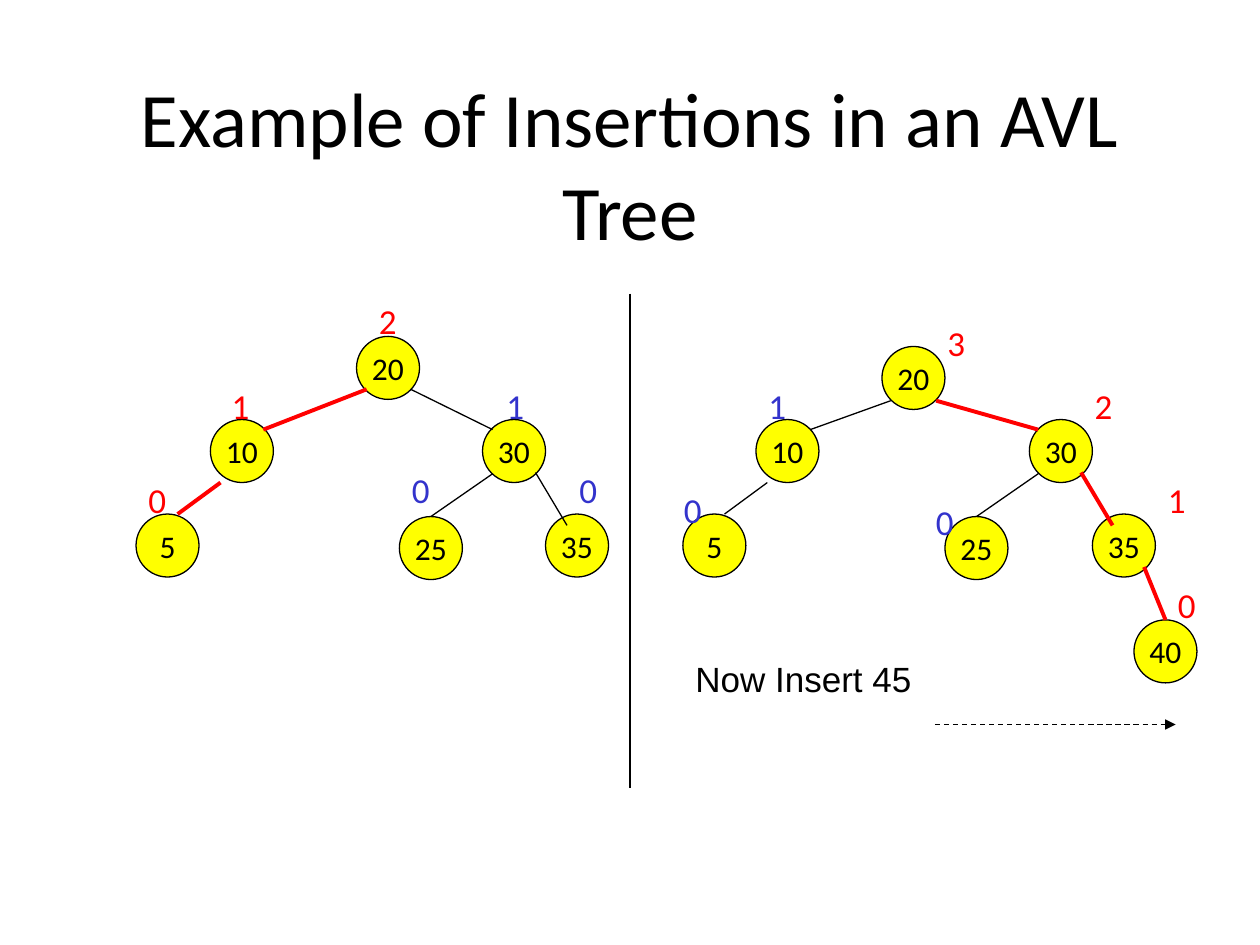
from dataclasses import dataclass
from typing import NamedTuple

from lxml import etree
from pptx import Presentation
from pptx.dml.color import RGBColor
from pptx.enum.dml import MSO_LINE
from pptx.enum.shapes import MSO_CONNECTOR, MSO_SHAPE
from pptx.enum.text import MSO_ANCHOR, PP_ALIGN
from pptx.oxml.ns import qn
from pptx.util import Inches, Pt

STRAIGHT = MSO_CONNECTOR.STRAIGHT
OVAL = MSO_SHAPE.OVAL
DASH = MSO_LINE.DASH
MIDDLE, TOP = MSO_ANCHOR.MIDDLE, MSO_ANCHOR.TOP
CENTER, LEFT = PP_ALIGN.CENTER, PP_ALIGN.LEFT


@dataclass(frozen=True)
class Theme:
    ink: RGBColor = RGBColor(0x00, 0x00, 0x00)
    node: RGBColor = RGBColor(0xFF, 0xFF, 0x00)
    height: RGBColor = RGBColor(0x33, 0x33, 0xCC)
    insertion: RGBColor = RGBColor(0xFF, 0x00, 0x00)
    font: str = "Calibri"
    note_font: str = "Arial"
    title_size: float = 44
    label_size: float = 20
    node_size: float = 18
    thin: float = 0.75
    thick: float = 2.25


THEME = Theme()
NODE_DIAMETER = 0.5
LABEL_WIDTH, LABEL_HEIGHT = 0.34, 0.44


class Node(NamedTuple):
    key: str
    left: float
    top: float


class Edge(NamedTuple):
    x1: float
    y1: float
    x2: float
    y2: float
    on_path: bool = False


class HeightLabel(NamedTuple):
    value: str
    left: float
    top: float
    on_path: bool = False


class Tree(NamedTuple):
    labels_behind: list[HeightLabel]
    nodes: list[Node]
    edges: list[Edge]
    labels_in_front: list[HeightLabel]


BEFORE_INSERTION = Tree(
    labels_behind=[
        HeightLabel("1", 3.92, 3),
        HeightLabel("0", 3.17, 3.67),
        HeightLabel("2", 2.91, 2.33, True),
    ],
    nodes=[
        Node("20", 2.83, 2.67), Node("10", 1.67, 3.33), Node("30", 3.83, 3.33),
        Node("25", 3.17, 4.1), Node("35", 4.33, 4.08), Node("5", 1.08, 4.08),
    ],
    edges=[
        Edge(2.91, 3.09, 2.09, 3.41, True),
        Edge(3.26, 3.09, 3.91, 3.41),
        Edge(3.91, 3.76, 3.42, 4.1),
        Edge(4.25, 3.75, 4.5, 4.17),
        Edge(1.75, 3.83, 1.41, 4.08, True),
    ],
    labels_in_front=[
        HeightLabel("1", 1.74, 3, True),
        HeightLabel("0", 4.5, 3.67),
        HeightLabel("0", 1.08, 3.75, True),
    ],
)

AFTER_INSERTION = Tree(
    labels_behind=[],
    nodes=[
        Node("20", 7, 2.75), Node("10", 6, 3.33), Node("30", 8.17, 3.33),
        Node("25", 7.5, 4.1), Node("35", 8.67, 4.08), Node("5", 5.42, 4.08),
        Node("40", 9, 4.92),
    ],
    edges=[
        Edge(7.07, 3.18, 6.43, 3.41),
        Edge(7.43, 3.18, 8.24, 3.41, True),
        Edge(8.24, 3.76, 7.75, 4.1),
        Edge(8.58, 3.75, 8.83, 4.17, True),
        Edge(6.09, 3.83, 5.75, 4.08),
        Edge(9.08, 4.5, 9.25, 4.92, True),
    ],
    labels_in_front=[
        HeightLabel("1", 6, 3),
        HeightLabel("0", 5.33, 3.83),
        HeightLabel("0", 9.25, 4.58, True),
        HeightLabel("0", 7.33, 3.92),
        HeightLabel("1", 9.17, 3.75, True),
        HeightLabel("2", 8.59, 3, True),
        HeightLabel("3", 7.42, 2.5, True),
    ],
)


def write(shape, text: str, size: float, color: RGBColor, font: str = THEME.font,
          align=LEFT, anchor=TOP, wrap: bool = True) -> None:
    frame = shape.text_frame
    frame.word_wrap = wrap
    frame.vertical_anchor = anchor
    paragraph = frame.paragraphs[0]
    paragraph.alignment = align
    run = paragraph.add_run()
    run.text = text
    run.font.size = Pt(size)
    run.font.name = font
    run.font.color.rgb = color


def add_text_box(slide, left: float, top: float, width: float, height: float):
    return slide.shapes.add_textbox(
        Inches(left), Inches(top), Inches(width), Inches(height))


def draw_line(slide, x1: float, y1: float, x2: float, y2: float,
              color: RGBColor = THEME.ink, weight: float = THEME.thin):
    connector = slide.shapes.add_connector(
        STRAIGHT, Inches(x1), Inches(y1), Inches(x2), Inches(y2))
    connector.line.color.rgb = color
    connector.line.width = Pt(weight)
    etree.SubElement(connector._element.spPr, qn("a:effectLst"))
    return connector


def draw_node(slide, node: Node) -> None:
    circle = slide.shapes.add_shape(
        OVAL, Inches(node.left), Inches(node.top),
        Inches(NODE_DIAMETER), Inches(NODE_DIAMETER))
    circle.shadow.inherit = False
    circle.fill.solid()
    circle.fill.fore_color.rgb = THEME.node
    circle.line.color.rgb = THEME.ink
    circle.line.width = Pt(THEME.thin)
    write(circle, node.key, THEME.node_size, THEME.ink,
          align=CENTER, anchor=MIDDLE, wrap=False)


def draw_label(slide, label: HeightLabel) -> None:
    box = add_text_box(slide, label.left, label.top, LABEL_WIDTH, LABEL_HEIGHT)
    color = THEME.insertion if label.on_path else THEME.height
    write(box, label.value, THEME.label_size, color)


def draw_edge(slide, edge: Edge) -> None:
    color, weight = ((THEME.insertion, THEME.thick) if edge.on_path
                     else (THEME.ink, THEME.thin))
    draw_line(slide, edge.x1, edge.y1, edge.x2, edge.y2, color, weight)


def draw_tree(slide, tree: Tree) -> None:
    for label in tree.labels_behind:
        draw_label(slide, label)
    for node in tree.nodes:
        draw_node(slide, node)
    for edge in tree.edges:
        draw_edge(slide, edge)
    for label in tree.labels_in_front:
        draw_label(slide, label)


def main() -> None:
    deck = Presentation()
    deck.slide_width, deck.slide_height = Inches(10), Inches(7.5)
    slide = deck.slides.add_slide(deck.slide_layouts[6])

    # Title
    title = add_text_box(slide, 0.75, 0.51, 8.5, 1.57)
    write(title, "Example of Insertions in an AVL Tree", THEME.title_size,
          THEME.ink, align=CENTER, anchor=MIDDLE)

    # Trees on either side of the divider
    draw_tree(slide, BEFORE_INSERTION)
    draw_tree(slide, AFTER_INSERTION)
    draw_line(slide, 5, 2.33, 5, 6.25)

    # Next step
    next_step = add_text_box(slide, 5.42, 5.17, 1.92, 0.44)
    write(next_step, "Now Insert 45", THEME.label_size, THEME.ink, THEME.note_font)
    arrow = draw_line(slide, 7.42, 5.75, 9.33, 5.75)
    arrow.line.dash_style = DASH
    etree.SubElement(arrow.line._get_or_add_ln(), qn("a:tailEnd"), type="triangle")

    deck.save("out.pptx")


if __name__ == "__main__":
    main()
